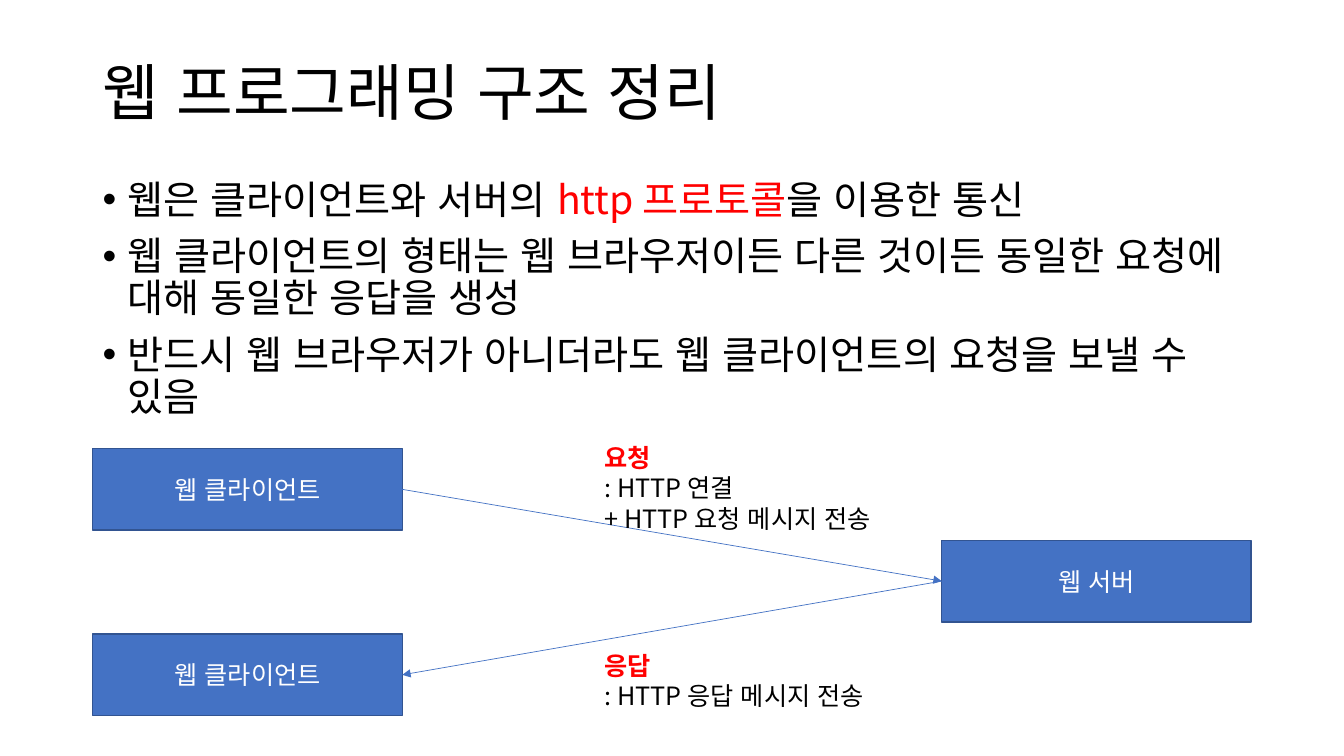
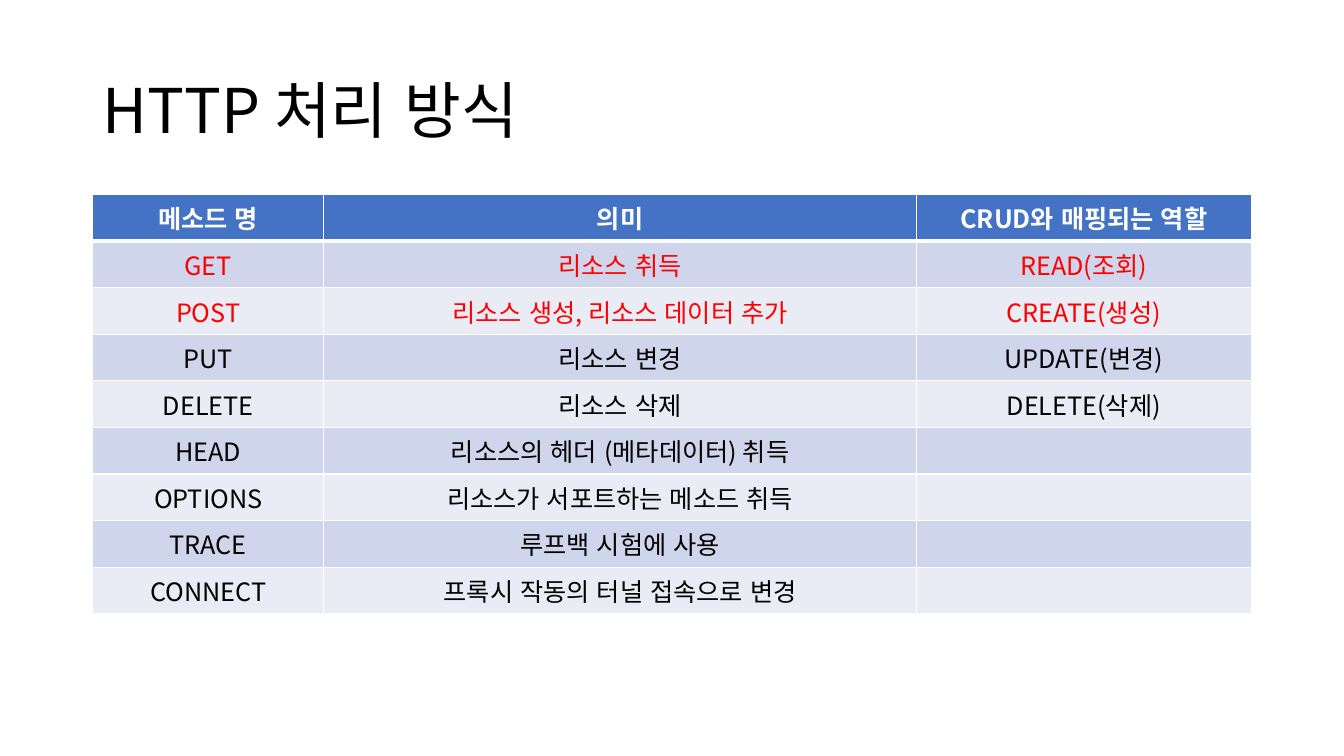
import pptx
import pptx.util
import pptx.dml.color
import pptx.enum.shapes
import pptx.enum.text
import pptx.enum.lang
import pptx.oxml
import pptx.oxml.ns
import lxml.etree

Inches, Pt = pptx.util.Inches, pptx.util.Pt
qn = pptx.oxml.ns.qn
ALIGN = pptx.enum.text.PP_ALIGN
MIDDLE = pptx.enum.text.MSO_ANCHOR.MIDDLE
KOREAN = pptx.enum.lang.MSO_LANGUAGE_ID.KOREAN

FONT = "Noto Sans CJK KR"
COLORS = {
    "text": "000000", "paper": "FFFFFF", "key": "FF0000", "main": "4472C4",
    "edge": "325491", "odd": "CFD5EA", "even": "E9EBF5",
}
LEFT, WIDTH = 0.92, 11.5

POINTS = [
    [("웹은 클라이언트와 서버의 ", "text"), ("http 프로토콜", "key"), ("을 이용한 통신", "text")],
    [("웹 클라이언트의 형태는 웹 브라우저이든 다른 것이든 동일한 요청에 대해 동일한 응답을 생성", "text")],
    [("반드시 웹 브라우저가 아니더라도 웹 클라이언트의 요청을 보낼 수 있음", "text")],
]
HEADS = ["메소드 명", "의미", "CRUD와 매핑되는 역할"]
METHODS = [
    ("GET", "리소스 취득", "READ(조회)"),
    ("POST", "리소스 생성, 리소스 데이터 추가", "CREATE(생성)"),
    ("PUT", "리소스 변경", "UPDATE(변경)"),
    ("DELETE", "리소스 삭제", "DELETE(삭제)"),
    ("HEAD", "리소스의 헤더 (메타데이터) 취득", ""),
    ("OPTIONS", "리소스가 서포트하는 메소드 취득", ""),
    ("TRACE", "루프백 시험에 사용", ""),
    ("CONNECT", "프록시 작동의 터널 접속으로 변경", ""),
]
KEY_ROWS = 2


def rgb(name):
    return pptx.dml.color.RGBColor.from_string(COLORS[name])


def style(para, size, color="text", bold=False, align=ALIGN.LEFT):
    para.alignment = align
    font = para.font
    font.size, font.bold, font.name = Pt(size), bold, FONT
    font.color.rgb = rgb(color)
    font.language_id = KOREAN
    props = para._p.pPr.find(qn("a:defRPr"))
    lxml.etree.SubElement(props, qn("a:ea"), typeface=FONT)
    for run in para.runs:
        run.font.language_id = KOREAN


def bullet(para):
    props = para._p.get_or_add_pPr()
    props.set("marL", str(Inches(0.25)))
    props.set("indent", str(-Inches(0.25)))
    lxml.etree.SubElement(props, qn("a:buFont"), typeface="Arial")
    lxml.etree.SubElement(props, qn("a:buChar"), char="•")


def add_text(slide, left, top, width, height):
    box = slide.shapes.add_textbox(*map(Inches, (left, top, width, height)))
    box.text_frame.word_wrap = True
    return box.text_frame


def add_paras(frame, count):
    """Return count paragraphs, the first being the one already there."""
    return [frame.paragraphs[0]] + [frame.add_paragraph() for _ in range(count - 1)]


def add_title(slide, text, top):
    frame = add_text(slide, LEFT, top, WIDTH, 1.45)
    frame.vertical_anchor = MIDDLE
    para = frame.paragraphs[0]
    para.text, para.line_spacing = text, 0.9
    style(para, 44)


def add_points(slide, left, top, width, height):
    frame = add_text(slide, left, top, width, height)
    for para, parts in zip(add_paras(frame, len(POINTS)), POINTS):
        bullet(para)
        para.line_spacing, para.space_before = 0.9, Pt(10)
        for text, color in parts:
            run = para.add_run()
            run.text = text
            if color != "text":
                run.font.color.rgb = rgb(color)
        style(para, 28)


def add_node(slide, text, left, top):
    node = slide.shapes.add_shape(
        pptx.enum.shapes.MSO_SHAPE.RECTANGLE, *map(Inches, (left, top, 3.07, 0.81)))
    node.shadow.inherit = False
    node.fill.solid()
    node.fill.fore_color.rgb = rgb("main")
    node.line.color.rgb, node.line.width = rgb("edge"), Pt(1)
    node.text_frame.vertical_anchor = MIDDLE
    para = node.text_frame.paragraphs[0]
    para.text = text
    style(para, 18, "paper", align=ALIGN.CENTER)
    return node


def add_arrow(slide, start, start_side, end, end_side):
    arrow = slide.shapes.add_connector(
        pptx.enum.shapes.MSO_CONNECTOR.STRAIGHT, 0, 0, 0, 0)
    arrow.begin_connect(start, start_side)
    arrow.end_connect(end, end_side)
    arrow.line.color.rgb, arrow.line.width = rgb("main"), Pt(0.5)
    line = arrow.line._get_or_add_ln()
    lxml.etree.SubElement(line, qn("a:tailEnd"), type="triangle")
    lxml.etree.SubElement(arrow._element.spPr, qn("a:effectLst"))


def add_label(slide, left, top, height, lines):
    """Place a label whose first line is a red heading."""
    frame = add_text(slide, left, top, 3.27, height)
    for row, (para, text) in enumerate(zip(add_paras(frame, len(lines)), lines)):
        para.text = text
        style(para, 18, "text" if row else "key", bold=row == 0)


def add_flow(slide, left, top):
    far = left + 8.42
    asker = add_node(slide, "웹 클라이언트", left, top)
    server = add_node(slide, "웹 서버", far, top + 0.91)
    taker = add_node(slide, "웹 클라이언트", left, top + 1.84)
    middle = left + 4.98
    add_arrow(slide, asker, 3, server, 1)
    add_label(slide, middle, top - 0.11, 0.53,
              ["요청", ": HTTP 연결", "+ HTTP 요청 메시지 전송"])
    add_arrow(slide, server, 1, taker, 3)
    add_label(slide, middle, top + 1.95, 0.37, ["응답", ": HTTP 응답 메시지 전송"])


def set_edges(cell, row):
    """Draw white cell borders, thick between the header and the body."""
    widths = {"L": 1, "R": 1, "T": 3 if row == 1 else 1, "B": 3 if row == 0 else 1}
    props = cell._tc.get_or_add_tcPr()
    for side, width in widths.items():
        line = lxml.etree.SubElement(props, qn("a:ln" + side), w=str(Pt(width)))
        fill = lxml.etree.SubElement(line, qn("a:solidFill"))
        lxml.etree.SubElement(fill, qn("a:srgbClr"), val=COLORS["paper"])


def add_methods(slide, left, top, width, height):
    rows = [HEADS] + METHODS
    table = slide.shapes.add_table(
        len(rows), len(HEADS), *map(Inches, (left, top, width, height))).table
    for column, size in zip(table.columns, (2.29, 5.88, 3.32)):
        column.width = Inches(size)
    for row, texts in enumerate(rows):
        if row == 0:
            back, color = "main", "paper"
        else:
            back = "odd" if row % 2 else "even"
            color = "key" if row <= KEY_ROWS else "text"
        for col, text in enumerate(texts):
            cell = table.cell(row, col)
            set_edges(cell, row)
            cell.fill.solid()
            cell.fill.fore_color.rgb = rgb(back)
            para = cell.text_frame.paragraphs[0]
            para.text = text
            style(para, 18, color, row == 0, ALIGN.CENTER)


def build_web(slide):
    add_title(slide, "웹 프로그래밍 구조 정리", 0.22)
    add_points(slide, LEFT, 1.74, WIDTH, 4.76)
    add_flow(slide, LEFT, 4.45)


def build_http(slide):
    add_title(slide, "HTTP 처리 방식", 0.4)
    add_methods(slide, LEFT, 1.93, WIDTH, 4.16)


def main():
    deck = pptx.Presentation()
    deck.slide_width, deck.slide_height = Inches(13.33), Inches(7.5)
    for build in (build_web, build_http):
        build(deck.slides.add_slide(deck.slide_layouts[6]))
    deck.save("out.pptx")


if __name__ == "__main__":
    main()
